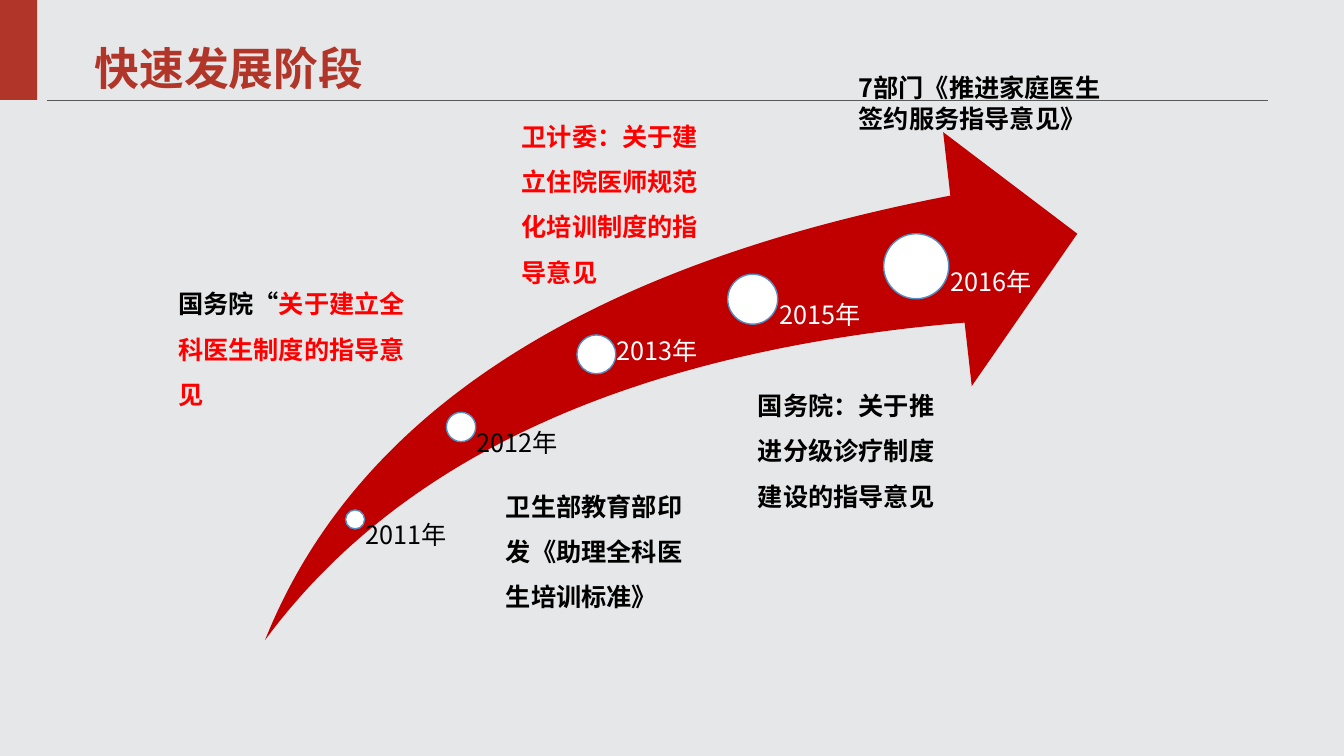
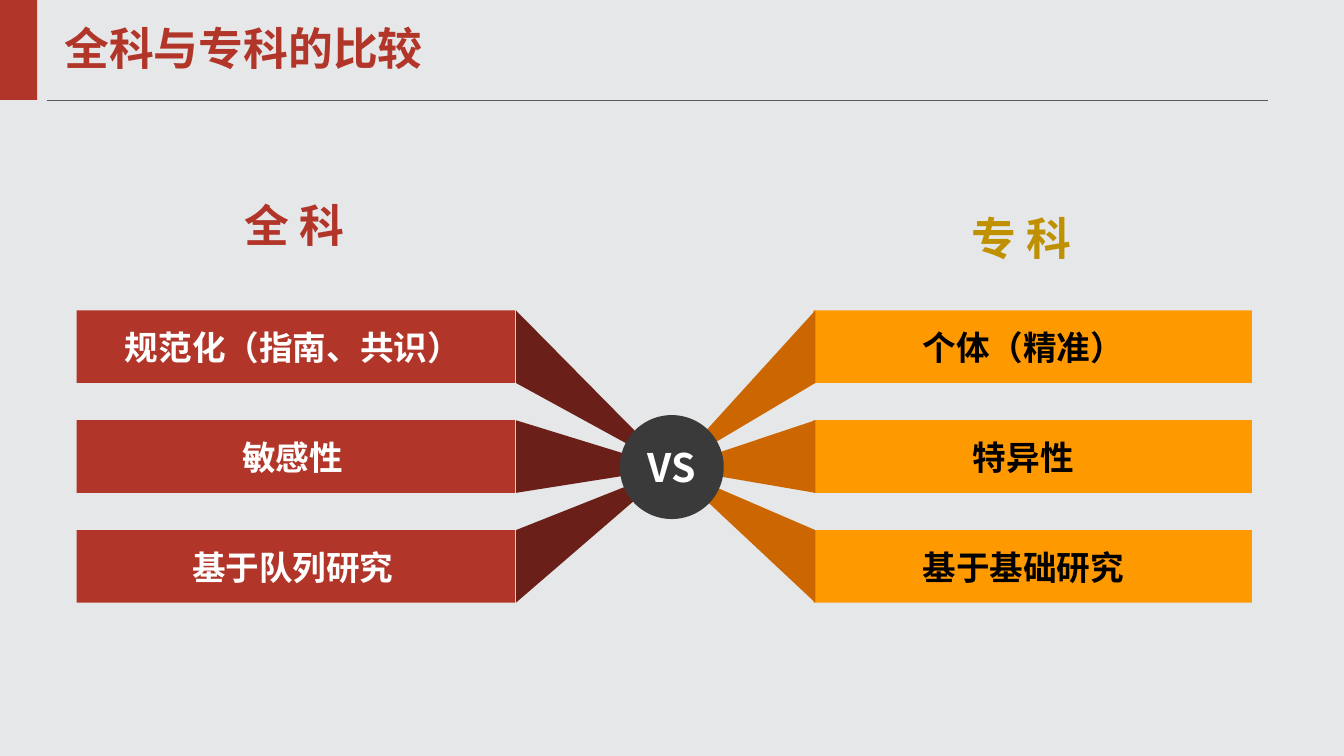
from lxml import etree
from pptx import Presentation
from pptx.dml.color import RGBColor
from pptx.enum import shapes as sh, text as tx
from pptx.oxml.ns import qn
from pptx.util import Cm, Pt

FONT = "Noto Sans CJK SC"
COL = {
    "back": "E6E7E8", "brand": "B13528", "rule": "595959", "arrow": "C00000",
    "ring": "538DC1", "hot": "FF0000", "black": "000000", "white": "FFFFFF",
    "wine": "6A2018", "amber": "FF9900", "rust": "CC6600", "gold": "BF9000",
    "hub": "3A3A3B",
}
MID = tx.MSO_ANCHOR.MIDDLE
CENTER = tx.PP_ALIGN.CENTER


def rgb(name):
    return RGBColor.from_string(COL[name])


def paint(shape, fill, line=None):
    shape.shadow.inherit = False
    shape.fill.solid()
    shape.fill.fore_color.rgb = rgb(fill)
    if line:
        shape.line.color.rgb = rgb(line)
        shape.line.width = Pt(1)
    else:
        shape.line.fill.background()
    return shape


def draw(slide, kind, box, fill, line=None):
    shape = slide.shapes.add_shape(kind, *map(Cm, box))
    return paint(shape, fill, line)


def write(frame, parts, size, bold=True, align=None, space=None):
    """Fill the first paragraph with (text, colour) parts; the first sets the base colour."""
    para = frame.paragraphs[0]
    para.alignment = align
    para.line_spacing = space
    font = para.font
    font.size, font.bold = Pt(size), bold
    font.color.rgb = rgb(parts[0][1])
    font.name = FONT
    base = para._p.pPr.find(qn("a:defRPr"))
    etree.SubElement(base, qn("a:ea")).set("typeface", FONT)
    for words, tint in parts:
        run = para.add_run()
        run.text = words
        if tint != parts[0][1]:
            run.font.color.rgb = rgb(tint)


def label(slide, box, parts, size, wrap=True, inset=(0.25, 0.13, 0.25, 0.13),
          anchor=tx.MSO_ANCHOR.TOP, **style):
    frame = slide.shapes.add_textbox(*map(Cm, box)).text_frame
    frame.word_wrap = wrap
    frame.vertical_anchor = anchor
    (frame.margin_left, frame.margin_top,
     frame.margin_right, frame.margin_bottom) = map(Cm, inset)
    write(frame, parts, size, **style)


def start(deck, title, box, **style):
    """Add a slide with the shared background, band, rule and title."""
    slide = deck.slides.add_slide(deck.slide_layouts[6])
    slide.background.fill.solid()
    slide.background.fill.fore_color.rgb = rgb("back")
    rule = slide.shapes.add_connector(
        sh.MSO_CONNECTOR.STRAIGHT, Cm(1.19), Cm(2.52), Cm(31.95), Cm(2.52))
    rule.line.color.rgb = rgb("rule")
    rule.line.width = Pt(0.5)
    etree.SubElement(rule._element.spPr, qn("a:effectLst"))
    draw(slide, sh.MSO_SHAPE.RECTANGLE, (0, 0, 0.94, 2.52), "brand")
    label(slide, box, [(title, "brand")], 32, **style)
    return slide


def swoosh(slide, box):
    """Draw the growing arrow with its years; stops are relative to the box."""
    left, top, _, high = box
    arrow = draw(slide, sh.MSO_SHAPE.SWOOSH_ARROW, box, "arrow")
    arrow.adjustments[0] = arrow.adjustments[1] = 0.25
    stops = [  # year, centre x, centre y, diameter, label width, label rise, colour
        ("2011年", 2.27, 9.76, 0.48, 2.69, 0, "black"),
        ("2012年", 4.94, 7.43, 0.74, 3.4, 0, "black"),
        ("2013年", 8.35, 5.6, 0.98, 3.96, 0.47, "white"),
        ("2015年", 12.29, 4.21, 1.26, 4.09, 0, "white"),
        ("2016年", 16.41, 3.38, 1.64, 4.09, 0, "white"),
    ]
    for year, x, y, size, wide, rise, tint in stops:
        draw(slide, sh.MSO_SHAPE.OVAL,
             (left + x - size / 2, top + y - size / 2, size, size), "white", "ring")
        label(slide, (left + x, top + y - rise, wide, high - y), [(year, tint)], 18,
              inset=(size * 0.53, 0, 0, 0), bold=False)


def growth(deck):
    slide = start(deck, "快速发展阶段", (2.13, 0.23, 7.29, 2.31),
                  wrap=False, align=CENTER, space=1.5)
    swoosh(slide, (6.68, 3.33, 20.47, 12.8))
    notes = [
        ((4.24, 6.76, 6.55, 3.71), 1.5,
         [("国务院“", "black"), ("关于建立全科医生制度的指导意见", "hot")]),
        ((12.9, 2.54, 5.51, 4.88), 1.5,
         [("卫计委：关于建立住院医师规范化培训制度的指导意见", "hot")]),
        ((18.85, 9.32, 5.16, 3.71), 1.5,
         [("国务院：关于推进分级诊疗制度建设的指导意见", "black")]),
        ((21.39, 1.7, 7.19, 1.8), None,
         [("7部门《推进家庭医生签约服务指导意见》", "black")]),
        ((12.5, 11.86, 5.16, 3.71), 1.5,
         [("卫生部教育部印发《助理全科医生培训标准》", "black")]),
    ]
    for box, space, parts in notes:
        label(slide, box, parts, 18, space=space)


def wedge(slide, edge, top, high, tip, fill):
    form = slide.shapes.build_freeform(Cm(edge), Cm(top))
    form.add_line_segments([(Cm(tip[0]), Cm(tip[1])), (Cm(edge), Cm(top + high))])
    paint(form.convert_to_shape(), fill)


def side(slide, box, edge, tip, shift, rows, fill, shade, ink):
    """Stack bars from the first bar's box, each with a wedge from edge to tip."""
    left, top, wide, high = box
    for i, words in enumerate(rows):
        y = top + i * 2.77
        draw(slide, sh.MSO_SHAPE.RECTANGLE, (left, y, wide, high), fill)
        wedge(slide, edge, y, high, tip, shade)
        label(slide, (left + shift, y + 0.23, 9.98, 1.37), [(words, ink)], 24,
              inset=(0.33, 0.18, 0.33, 0.18), align=CENTER)


def versus(deck):
    slide = start(deck, "全科与专科的比较", (1.37, 0.41, 30.58, 1.73),
                  anchor=MID, space=0.9)
    tip = (16.93, 11.8)
    side(slide, (1.93, 7.82, 11.05, 1.83), 13, tip, 0.46,
         ["规范化（指南、共识）", "敏感性", "基于队列研究"], "brand", "wine", "white")
    side(slide, (20.5, 7.82, 11.05, 1.83), 20.55, tip, 0.3,
         ["个体（精准）", "特异性", "基于基础研究"], "amber", "rust", "black")
    hub = draw(slide, sh.MSO_SHAPE.OVAL, (15.62, 10.46, 2.62, 2.62), "hub")
    hub.text_frame.vertical_anchor = MID
    hub.text_frame.word_wrap = False
    write(hub.text_frame, [("VS", "white")], 28, align=CENTER)
    for words, x, y, tint in [("全 科", 5.92, 4.85, "brand"),
                              ("专 科", 24.23, 5.18, "gold")]:
        label(slide, (x, y, 3.12, 1.63), [(words, tint)], 32, wrap=False)


def main():
    deck = Presentation()
    deck.slide_width, deck.slide_height = Cm(33.87), Cm(19.05)
    growth(deck)
    versus(deck)
    deck.save("out.pptx")


if __name__ == "__main__":
    main()
